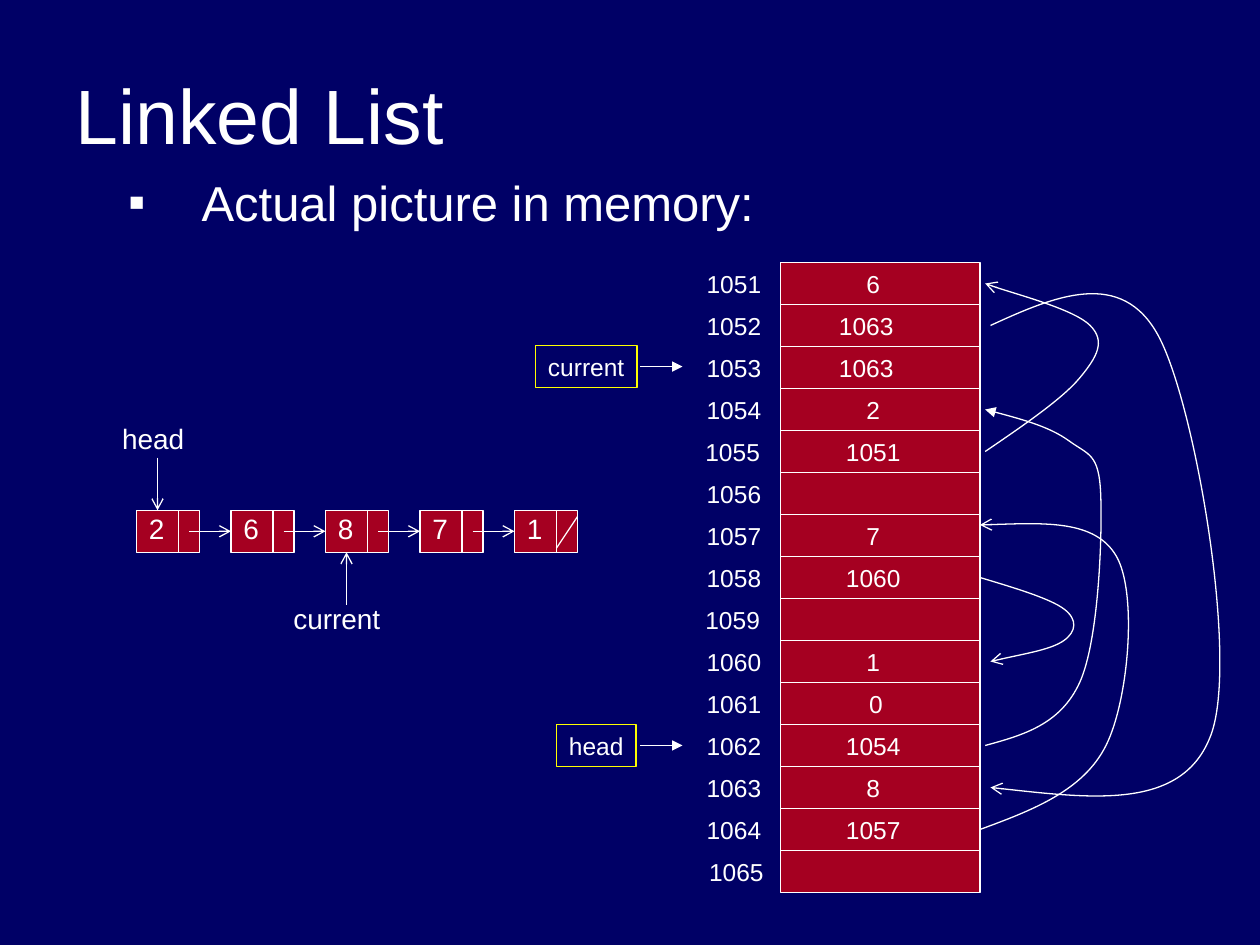
"""Build the Linked List slide: a node diagram beside its memory layout."""
from dataclasses import dataclass

from lxml import etree
from pptx import Presentation
from pptx.dml.color import RGBColor
from pptx.enum.shapes import MSO_CONNECTOR, MSO_SHAPE
from pptx.enum.text import MSO_ANCHOR, MSO_AUTO_SIZE, PP_ALIGN
from pptx.oxml.ns import qn
from pptx.util import Pt

LEFT, CENTER = PP_ALIGN.LEFT, PP_ALIGN.CENTER
TOP, MIDDLE = MSO_ANCHOR.TOP, MSO_ANCHOR.MIDDLE
NO_FIT = MSO_AUTO_SIZE.NONE
RECT, STRAIGHT = MSO_SHAPE.RECTANGLE, MSO_CONNECTOR.STRAIGHT

NAVY, RED, WHITE, YELLOW = "000066", "A50021", "FFFFFF", "FFFF00"
FONT = "Arial"
MEM_X, MEM_Y, MEM_W, ROW_H = 446, 150, 114, 24
ADDRESS_X, VALUE_X = 419.4, 499
NODE_X, NODE_Y, NODE_W, NODE_H, NODE_STEP = 78, 291.6, 36, 24, 54


@dataclass
class Cell:
    value: str
    value_shift: float = 0
    address_shift: float = 0


@dataclass
class Pointer:
    name: str
    x: float
    y: float
    w: float


@dataclass
class Curve:
    points: list[tuple[float, float]]
    head: str = "arrow"


CELLS = [
    Cell("6"), Cell("1063", -4), Cell("1063", -4), Cell("2"),
    Cell("1051", 0, -0.7), Cell(""), Cell("7"), Cell("1060"),
    Cell("", 0, -0.7), Cell("1"), Cell("0", 1.5), Cell("1054"),
    Cell("8"), Cell("1057"), Cell("", 0, 1.4),
]
POINTERS = [Pointer("head", 318, 414, 45.5), Pointer("current", 306, 197.5, 58)]
CURVES = [
    Curve([(563, 258), (585, 243), (607, 228), (617, 216),
           (627, 204), (632, 195), (623, 186), (614, 177), (573, 166), (563, 162)]),
    Curve([(566, 186), (603, 169), (641, 153), (662, 192),
           (683, 231), (708, 377), (692, 420), (676, 463), (621, 456), (566, 450)]),
    Curve([(560, 474), (590, 463), (619, 452), (632, 426),
           (645, 400), (650, 339), (638, 318), (626, 297), (593, 299), (560, 300)]),
    Curve([(560, 330), (580, 336), (600, 342), (608, 348),
           (616, 354), (615, 361), (608, 366), (601, 371), (583, 374), (566, 378)]),
    Curve([(563, 426), (585, 420), (606, 414), (617, 390),
           (628, 366), (630, 305), (629, 282), (628, 259), (622, 260), (611, 252),
           (600, 244), (582, 239), (563, 234)], "triangle"),
]


def rgb(color: str) -> RGBColor:
    return RGBColor.from_string(color)


def put_text(sp, text: str, *, size: float, align=CENTER, anchor=TOP, wrap: bool = False):
    tf = sp.text_frame
    tf.auto_size = NO_FIT
    tf.word_wrap = wrap
    tf.vertical_anchor = anchor
    p = tf.paragraphs[0]
    p.alignment = align
    r = p.add_run()
    r.text = text
    r.font.name, r.font.size = FONT, Pt(size)
    r.font.color.rgb = rgb(WHITE)
    return p


def place(sp, x: float, y: float, w: float, h: float) -> None:
    sp.left, sp.top, sp.width, sp.height = Pt(x), Pt(y), Pt(w), Pt(h)


def style_line(sp, color: str = WHITE, head: str = "") -> None:
    sp.line.color.rgb = rgb(color)
    sp.line.width = Pt(0.75)
    sp_pr = sp._element.spPr
    if head:
        etree.SubElement(sp_pr.find(qn("a:ln")), qn("a:tailEnd"), type=head)
    etree.SubElement(sp_pr, qn("a:effectLst"))


def add_label(shapes, text: str, x: float, y: float, w: float, h: float, **fmt) -> None:
    sp = shapes.add_textbox(Pt(x), Pt(y), Pt(w), Pt(h))
    put_text(sp, text, **fmt)


def add_box(shapes, x: float, y: float, w: float, h: float, fill: str = "", line: str = WHITE):
    sp = shapes.add_shape(RECT, Pt(x), Pt(y), Pt(w), Pt(h))
    if fill:
        sp.fill.solid()
        sp.fill.fore_color.rgb = rgb(fill)
    else:
        sp.fill.background()
    style_line(sp, line)
    return sp


def add_line(shapes, x1: float, y1: float, x2: float, y2: float, head: str = "") -> None:
    sp = shapes.add_connector(STRAIGHT, Pt(x1), Pt(y1), Pt(x2), Pt(y2))
    style_line(sp, head=head)


def add_curve(shapes, curve: Curve) -> None:
    start, *rest = [(Pt(x), Pt(y)) for x, y in curve.points]
    builder = shapes.build_freeform(*start)
    builder.add_line_segments(rest, close=False)
    sp = builder.convert_to_shape()
    sp.fill.background()
    style_line(sp, head=curve.head)
    segments = list(sp._element.iter(qn("a:lnTo")))
    outline = segments[0].getparent()
    for i in range(0, len(segments), 3):
        bezier = etree.SubElement(outline, qn("a:cubicBezTo"))
        for seg in segments[i:i + 3]:
            bezier.append(seg[0])
            outline.remove(seg)


def add_memory(shapes) -> None:
    add_box(shapes, MEM_X, MEM_Y, MEM_W, ROW_H * len(CELLS), RED)
    for i, cell in enumerate(CELLS):
        y = MEM_Y + i * ROW_H
        if i:
            add_line(shapes, MEM_X, y, MEM_X + MEM_W, y)
        add_label(shapes, str(1051 + i), ADDRESS_X + cell.address_shift - 22.5, y,
                  45, ROW_H, size=14)
        if cell.value:
            w = 45 if len(cell.value) > 1 else 22
            add_label(shapes, cell.value, VALUE_X + cell.value_shift - w / 2, y,
                      w, ROW_H, size=14)
    for ptr in POINTERS:
        sp = add_box(shapes, ptr.x, ptr.y, ptr.w, ROW_H, line=YELLOW)
        put_text(sp, ptr.name, size=14)
        add_line(shapes, 366, ptr.y + 12, 390, ptr.y + 12, "triangle")
    for curve in CURVES:
        add_curve(shapes, curve)


def add_nodes(shapes, values: str) -> None:
    mid, bottom = NODE_Y + NODE_H / 2, NODE_Y + NODE_H
    for i, value in enumerate(values):
        x = NODE_X + i * NODE_STEP
        add_box(shapes, x, NODE_Y, NODE_W, NODE_H, RED)
        add_line(shapes, x + 24, NODE_Y, x + 24, bottom)
        add_label(shapes, value, x, NODE_Y - 3, 19.5, 26.5, size=16, align=LEFT, wrap=True)
        if i < len(values) - 1:
            add_line(shapes, x + 30, mid, x + NODE_STEP, mid, "arrow")
        else:
            add_line(shapes, x + NODE_W, NODE_Y + 3.6, x + 24, bottom - 2.4)
    add_label(shapes, "head", 62.5, 237.5, 50, 26.5, size=16)
    add_line(shapes, 90, 261.5, 90, NODE_Y, "arrow")
    add_label(shapes, "current", 160.5, 340, 64, 26.5, size=16)
    add_line(shapes, 198, 345.6, 198, bottom, "arrow")


def add_heading(slide) -> None:
    title, body = slide.shapes.title, slide.placeholders[1]
    place(title, 36, 29, 648, 72)
    put_text(title, "Linked List", size=44, align=LEFT, anchor=MIDDLE, wrap=True)
    place(body, 66, 101.5, 648, 54)
    p = put_text(body, "Actual picture in memory:", size=28, align=LEFT, wrap=True)
    p.line_spacing, p.space_before = 0.8, Pt(7)
    p_pr = p._p.get_or_add_pPr()
    p_pr.set("marL", str(Pt(42)))
    p_pr.set("indent", str(Pt(-42)))
    color = etree.SubElement(p_pr, qn("a:buClr"))
    etree.SubElement(color, qn("a:srgbClr"), val=WHITE)
    etree.SubElement(p_pr, qn("a:buFont"), typeface=FONT)
    etree.SubElement(p_pr, qn("a:buChar"), char="▪")


def main() -> None:
    prs = Presentation()
    prs.slide_width, prs.slide_height = Pt(720), Pt(540)
    slide = prs.slides.add_slide(prs.slide_layouts[1])
    slide.background.fill.solid()
    slide.background.fill.fore_color.rgb = rgb(NAVY)
    add_heading(slide)
    add_memory(slide.shapes)
    add_nodes(slide.shapes, "26871")
    prs.save("out.pptx")


if __name__ == "__main__":
    main()
